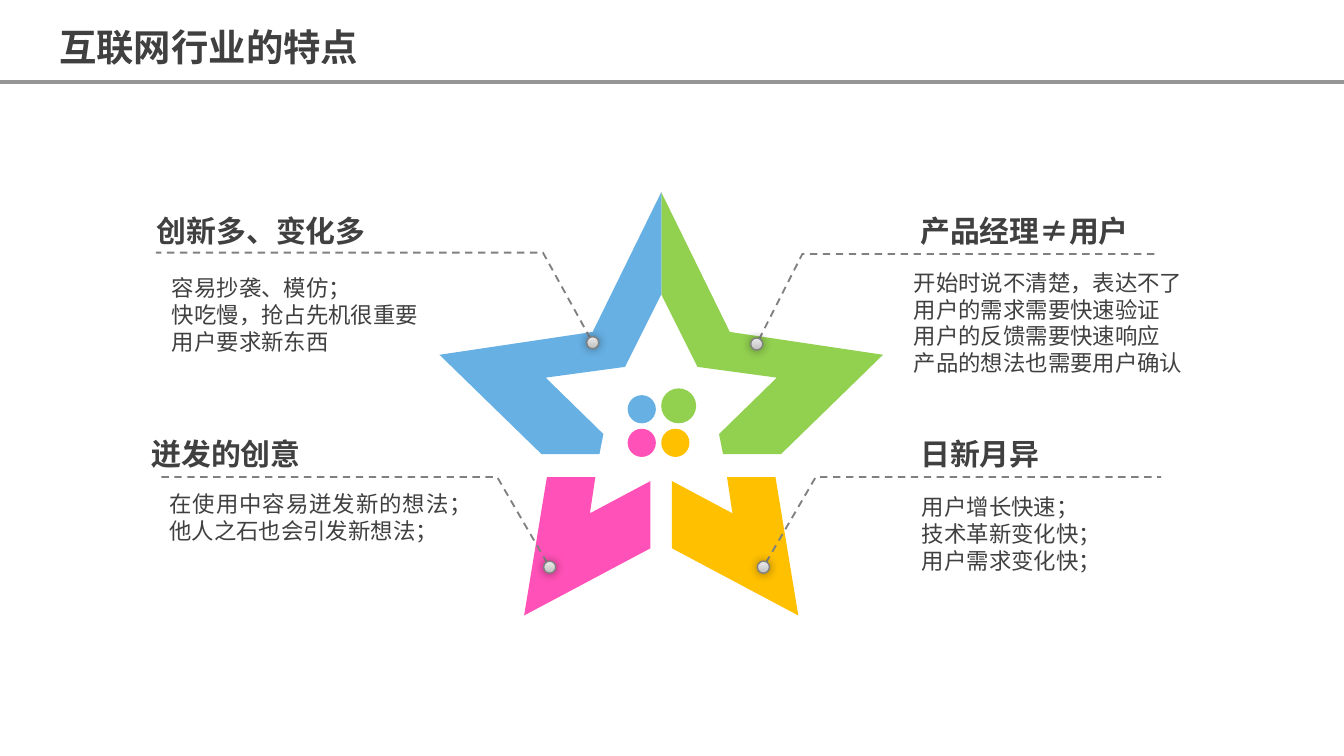
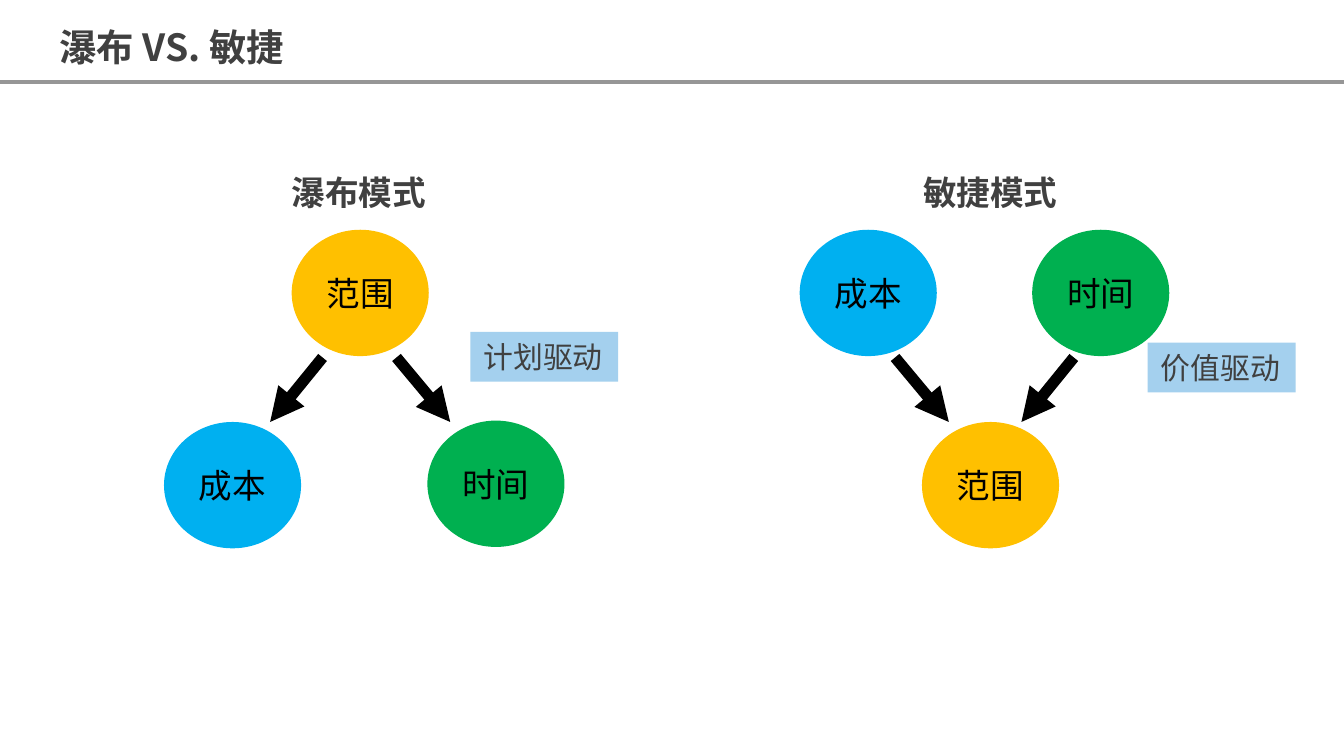
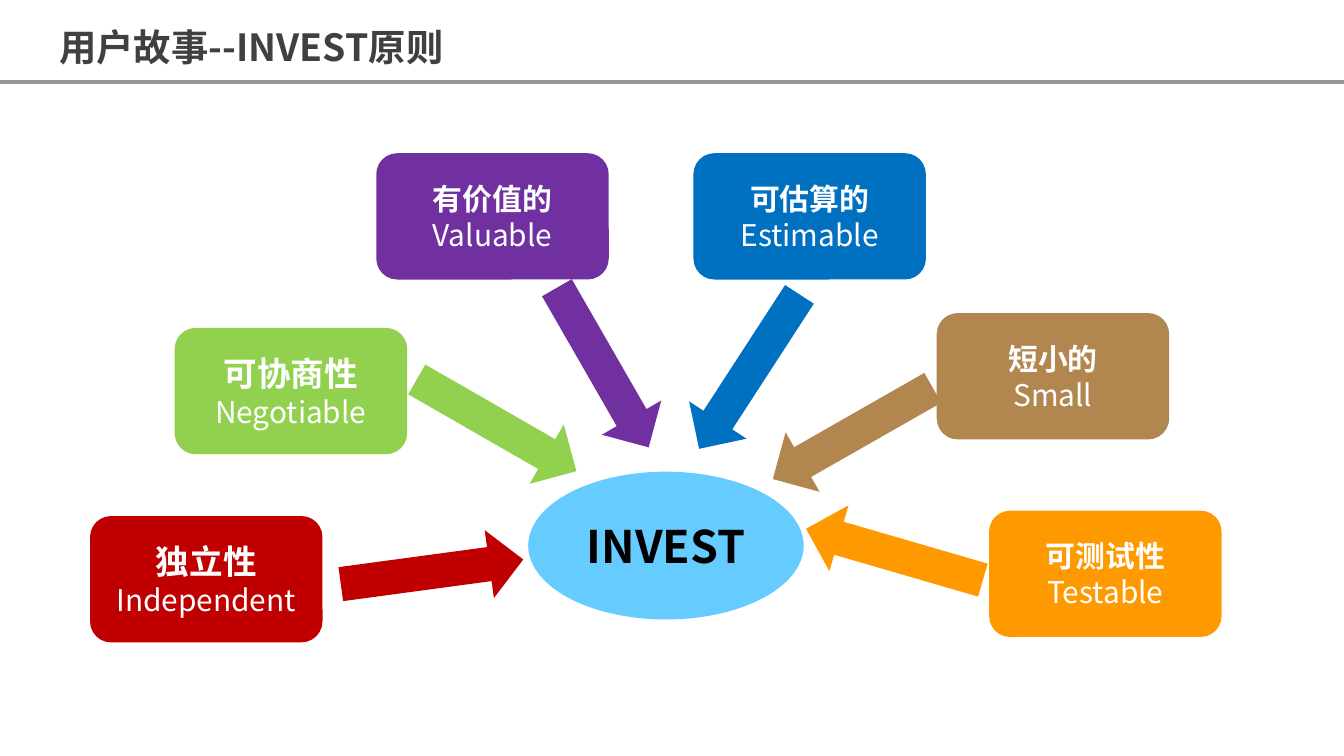
"""Build three slides on internet products, delivery models and the INVEST principle."""
from lxml import etree
from pptx import Presentation
from pptx.dml.color import RGBColor
from pptx.enum import dml, shapes, text
from pptx.oxml import ns
from pptx.util import Inches, Pt

FONT = "Noto Sans CJK SC"
COLORS = {
    "ink": "404040", "black": "000000", "white": "FFFFFF", "rule": "969696",
    "leader": "808080", "dot_dark": "BDBDBD", "dot_light": "EEEEEE",
    "sky": "67B0E3", "lime": "92D050", "pink": "FF51B7", "amber": "FFC000",
    "cyan": "00B0F0", "green": "00B050", "tag": "A4D0EE", "red": "C00000",
    "purple": "7030A0", "blue": "0070C0", "tan": "B1874F", "orange": "FF9900",
    "hub": "66CCFF",
}

TRAITS_TITLE = ("互联网行业的特点", 2.61)
STAR_AXIS = 4.92
STAR_WING = [(5.43, 2.47), (4.92, 1.43), (4.92, 2.19), (5.19, 2.73), (5.78, 2.81),
             (5.35, 3.23), (5.38, 3.38), (5.81, 3.38), (6.57, 2.64)]
STAR_LEG = [(5, 3.58), (5, 4.08), (5.94, 4.58), (5.77, 3.55), (5.41, 3.55), (5.45, 3.82)]
STAR_PARTS = [(STAR_LEG, "amber", "pink"), (STAR_WING, "lime", "sky")]
STAR_CIRCLES = [("sky", 4.67, 2.94, 0.21), ("lime", 4.92, 2.89, 0.26),
                ("pink", 4.67, 3.19, 0.21), ("amber", 4.92, 3.19, 0.21)]
DOT_SIZE = 0.09
TRAITS = [
    {"heading": "创新多、变化多", "heading_at": (1.07, 1.4, 2.16, 0.5),
     "details": ["容易抄袭、模仿；", "快吃慢，抢占先机很重要", "用户要求新东西"],
     "details_at": (1.21, 2, 2.23, 0.68),
     "leader": [(4.41, 2.55), (4.04, 1.88), (1.16, 1.88)]},
    {"heading": "产品经理≠用户", "heading_at": (6.75, 1.4, 2.06, 0.45),
     "details": ["开始时说不清楚，表达不了", "用户的需求需要快速验证",
                 "用户的反馈需要快速响应", "产品的想法也需要用户确认"],
     "details_at": (6.73, 1.96, 2.23, 0.88),
     "leader": [(5.63, 2.56), (5.97, 1.89), (8.62, 1.89)]},
    {"heading": "日新月异", "heading_at": (6.75, 3.06, 2.06, 0.46),
     "details": ["用户增长快速；", "技术革新变化快；", "用户需求变化快；"],
     "details_at": (6.79, 3.63, 2.23, 0.68),
     "leader": [(5.68, 4.22), (6.07, 3.55), (8.64, 3.55)]},
    {"heading": "迸发的创意", "heading_at": (1.03, 3.06, 2.16, 0.5),
     "details": ["在使用中容易迸发新的想法；", "他人之石也会引发新想法；"],
     "details_at": (1.19, 3.61, 2.23, 0.48),
     "leader": [(4.09, 4.22), (3.7, 3.55), (1.16, 3.55)]},
]

MODELS_TITLE = ("瀑布 VS. 敏捷", 2.61)
NODE_SIZE = (1.02, 0.94)
NODE_COLORS = {"范围": "amber", "成本": "cyan", "时间": "green"}
ARROW_TOP, ARROW_BOTTOM = 2.66, 3.14
MODELS = [
    {"name": "瀑布模式", "name_left": 2.07, "driver": "计划驱动", "driver_at": (3.5, 2.47),
     "nodes": [("范围", 2.17, 1.71), ("成本", 1.22, 3.14), ("时间", 3.18, 3.13)],
     "arrows": [(2.4, 2.01), (2.95, 3.35)]},
    {"name": "敏捷模式", "name_left": 6.77, "driver": "价值驱动", "driver_at": (8.54, 2.55),
     "nodes": [("范围", 6.86, 3.14), ("成本", 5.95, 1.71), ("时间", 7.68, 1.71)],
     "arrows": [(7.99, 7.6), (6.66, 7.06)]},
]

INVEST_TITLE = ("用户故事--INVEST原则", 3.79)
CARD_SIZE = (1.73, 0.94)
POINTER_SIZE = (1.37, 0.51)
PRINCIPLES = [
    ("独立性", "Independent", 18, "red", (0.67, 3.84), (2.53, 4), 352.3),
    ("可协商性", "Negotiable", 18, "lime", (1.3, 2.44), (3.01, 2.91), 29.9),
    ("有价值的", "Valuable", 16, "purple", (2.8, 1.14), (3.8, 2.48), 60.1),
    ("可估算的", "Estimable", 16, "blue", (5.16, 1.14), (4.89, 2.51), 123),
    ("短小的", "Small", 16, "tan", (6.97, 2.33), (5.66, 2.97), 150.3),
    ("可测试性", "Testable", 16, "orange", (7.36, 3.8), (5.97, 3.87), 196.2),
]


def rgb(name):
    return RGBColor.from_string(COLORS[name])


def add_xml(parent, tag, **attributes):
    return etree.SubElement(parent, ns.qn(tag), **attributes)


def write(shape, lines, size=16, color="ink", bold=False, align=text.PP_ALIGN.LEFT,
          anchor=text.MSO_ANCHOR.TOP, spacing=None, wrap=True, insets=(0.1, 0.05)):
    """Fill a shape with lines, each a string or a (string, size, bold) tuple."""
    frame = shape.text_frame
    frame.auto_size = text.MSO_AUTO_SIZE.NONE
    frame.word_wrap = wrap
    frame.vertical_anchor = anchor
    frame.margin_left = frame.margin_right = Inches(insets[0])
    frame.margin_top = frame.margin_bottom = Inches(insets[1])
    for index, line in enumerate(lines):
        words, line_size, line_bold = (line, size, bold) if isinstance(line, str) else line
        paragraph = frame.paragraphs[0] if index == 0 else frame.add_paragraph()
        paragraph.alignment = align
        paragraph.line_spacing = spacing
        run = paragraph.add_run()
        run.text = words
        run.font.size = Pt(line_size)
        run.font.bold = line_bold
        run.font.color.rgb = rgb(color)
        run.font.name = FONT
        add_xml(run.font._element, "a:ea", typeface=FONT)


def add_text(slide, box, lines, **form):
    write(slide.shapes.add_textbox(*map(Inches, box)), lines, **form)


def paint(shape, color):
    shape.shadow.inherit = False
    shape.fill.solid()
    shape.fill.fore_color.rgb = rgb(color)
    shape.line.fill.background()


def add_filled(slide, kind, box, color):
    shape = slide.shapes.add_shape(kind, *map(Inches, box))
    paint(shape, color)
    return shape


def add_label(slide, kind, box, fill, lines, **form):
    write(add_filled(slide, kind, box, fill), lines, align=text.PP_ALIGN.CENTER,
          anchor=text.MSO_ANCHOR.MIDDLE, **form)


def add_outline(slide, points, close):
    start, *rest = [(Inches(x), Inches(y)) for x, y in points]
    builder = slide.shapes.build_freeform(*start, scale=1.0)
    builder.add_line_segments(rest, close=close)
    return builder.convert_to_shape()


def add_line(slide, start, end, color, width):
    line = slide.shapes.add_connector(shapes.MSO_CONNECTOR.STRAIGHT, *map(Inches, start + end))
    line.line.color.rgb = rgb(color)
    line.line.width = Pt(width)
    add_xml(line._element.spPr, "a:effectLst")
    return line


def add_slide(deck, heading):
    words, width = heading
    slide = deck.slides.add_slide(deck.slide_layouts[5])
    title = slide.shapes.title
    title.left, title.top, title.width, title.height = map(Inches, (0.34, 0.06, width, 0.47))
    write(title, [words], size=20, bold=True, spacing=1.2)
    return slide


def share_header_rule(slide):
    """Draw the header rule once and hand it to the layout of all slides."""
    rule = add_line(slide, (0, 0.61), (10, 0.61), "rule", 1.75)
    slide.slide_layout.shapes._spTree.append(rule._element)


def add_leader(slide, points):
    leader = add_outline(slide, points, close=False)
    leader.shadow.inherit = False
    leader.fill.background()
    leader.line.color.rgb = rgb("leader")
    leader.line.width = Pt(1)
    leader.line.dash_style = dml.MSO_LINE.DASH
    add_xml(leader.line._get_or_add_ln(), "a:headEnd", type="oval")

    x, y = points[0]
    dot = add_filled(slide, shapes.MSO_SHAPE.OVAL,
                     (x - DOT_SIZE / 2, y - DOT_SIZE / 2, DOT_SIZE, DOT_SIZE), "dot_light")
    dot.fill.gradient()
    dot.fill.gradient_angle = 90
    for stop, color in zip(dot.fill.gradient_stops, ("dot_dark", "dot_light")):
        stop.color.rgb = rgb(color)
    dot.line.color.rgb = rgb("leader")
    dot.line.width = Pt(0.75)
    effects = dot._element.spPr.find(ns.qn("a:effectLst"))
    glow = add_xml(effects, "a:outerShdw", blurRad=str(Pt(5)), dist="0", dir="0")
    shade = add_xml(glow, "a:srgbClr", val=COLORS["black"])
    add_xml(shade, "a:alpha", val="40000")


def build_traits(deck):
    slide = add_slide(deck, TRAITS_TITLE)
    share_header_rule(slide)
    for points, right_color, left_color in STAR_PARTS:
        mirrored = [(2 * STAR_AXIS - x, y) for x, y in points]
        paint(add_outline(slide, points, close=True), right_color)
        paint(add_outline(slide, mirrored, close=True), left_color)
    for color, left, top, size in STAR_CIRCLES:
        add_filled(slide, shapes.MSO_SHAPE.OVAL, (left, top, size, size), color)
    for trait in TRAITS:
        add_text(slide, trait["heading_at"], [trait["heading"]], bold=True, spacing=1.5)
        add_leader(slide, trait["leader"])
        add_text(slide, trait["details_at"], trait["details"], size=12,
                 align=text.PP_ALIGN.JUSTIFY, insets=(0.07, 0.04))


def build_models(deck):
    slide = add_slide(deck, MODELS_TITLE)
    for model in MODELS:
        for name, left, top in model["nodes"]:
            add_label(slide, shapes.MSO_SHAPE.OVAL, (left, top, *NODE_SIZE),
                      NODE_COLORS[name], [name], size=18, color="black")
        for start, end in model["arrows"]:
            arrow = add_line(slide, (start, ARROW_TOP), (end, ARROW_BOTTOM), "black", 6)
            add_xml(arrow.line._get_or_add_ln(), "a:tailEnd", type="triangle")
        add_text(slide, (model["name_left"], 1.23, 1.21, 0.4), [model["name"]],
                 size=18, bold=True, wrap=False)
        driver = add_filled(slide, shapes.MSO_SHAPE.RECTANGLE,
                            (*model["driver_at"], 1.1, 0.37), "tag")
        write(driver, [model["driver"]], wrap=False)


def build_invest(deck):
    slide = add_slide(deck, INVEST_TITLE)
    for chinese, english, size, color, card_at, pointer_at, angle in PRINCIPLES:
        add_label(slide, shapes.MSO_SHAPE.ROUNDED_RECTANGLE, (*card_at, *CARD_SIZE), color,
                  [(chinese, size, True), (english, 16, False)], color="white")
        pointer = add_filled(slide, shapes.MSO_SHAPE.RIGHT_ARROW,
                             (*pointer_at, *POINTER_SIZE), color)
        pointer.rotation = angle
    add_label(slide, shapes.MSO_SHAPE.OVAL, (3.93, 3.51, 2.05, 1.1), "hub", ["INVEST"],
              size=24, color="black", bold=True)


def main():
    deck = Presentation()
    deck.slide_width = Inches(10)
    deck.slide_height = deck.slide_width * 9 // 16
    build_traits(deck)
    build_models(deck)
    build_invest(deck)
    deck.save("out.pptx")


if __name__ == "__main__":
    main()
